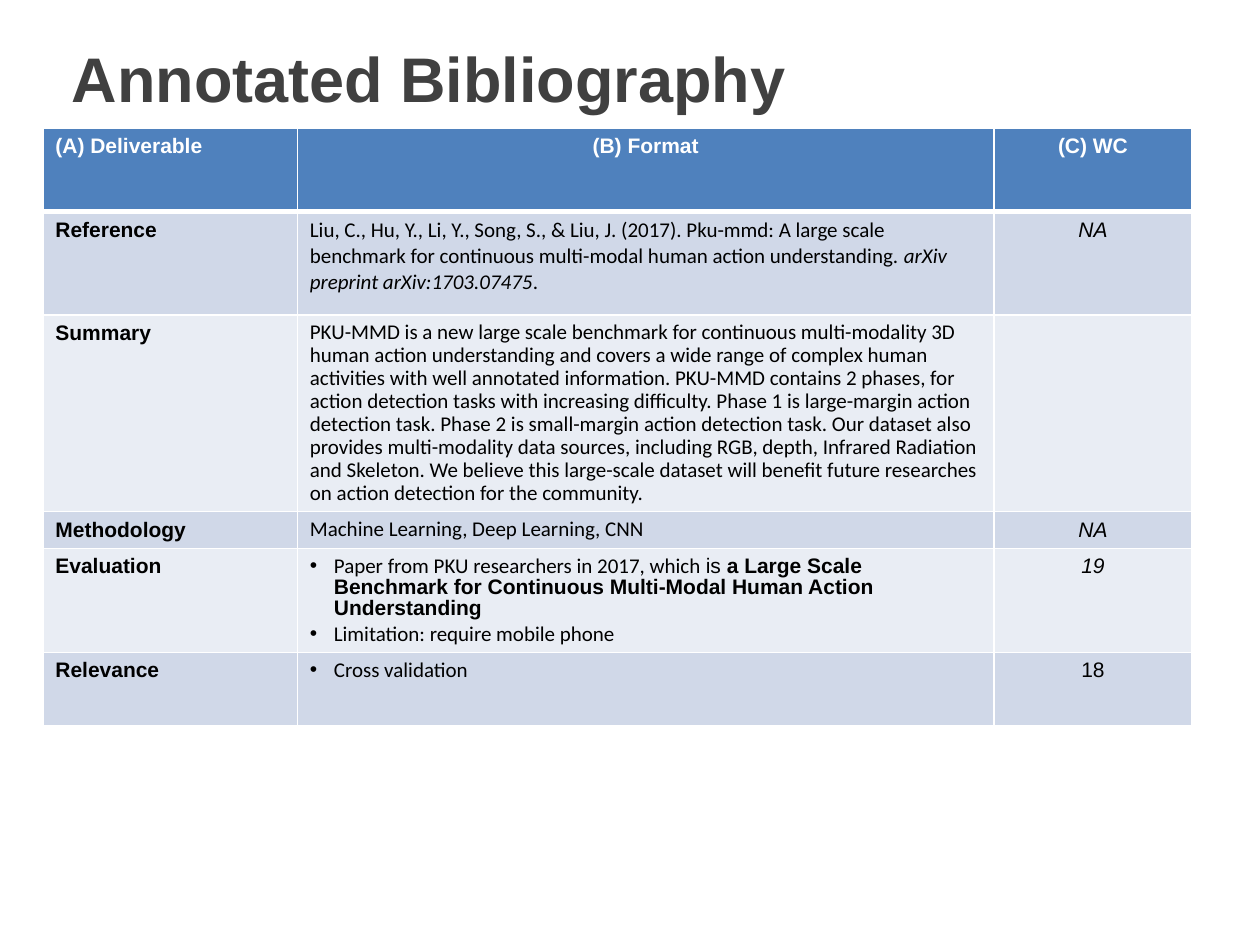
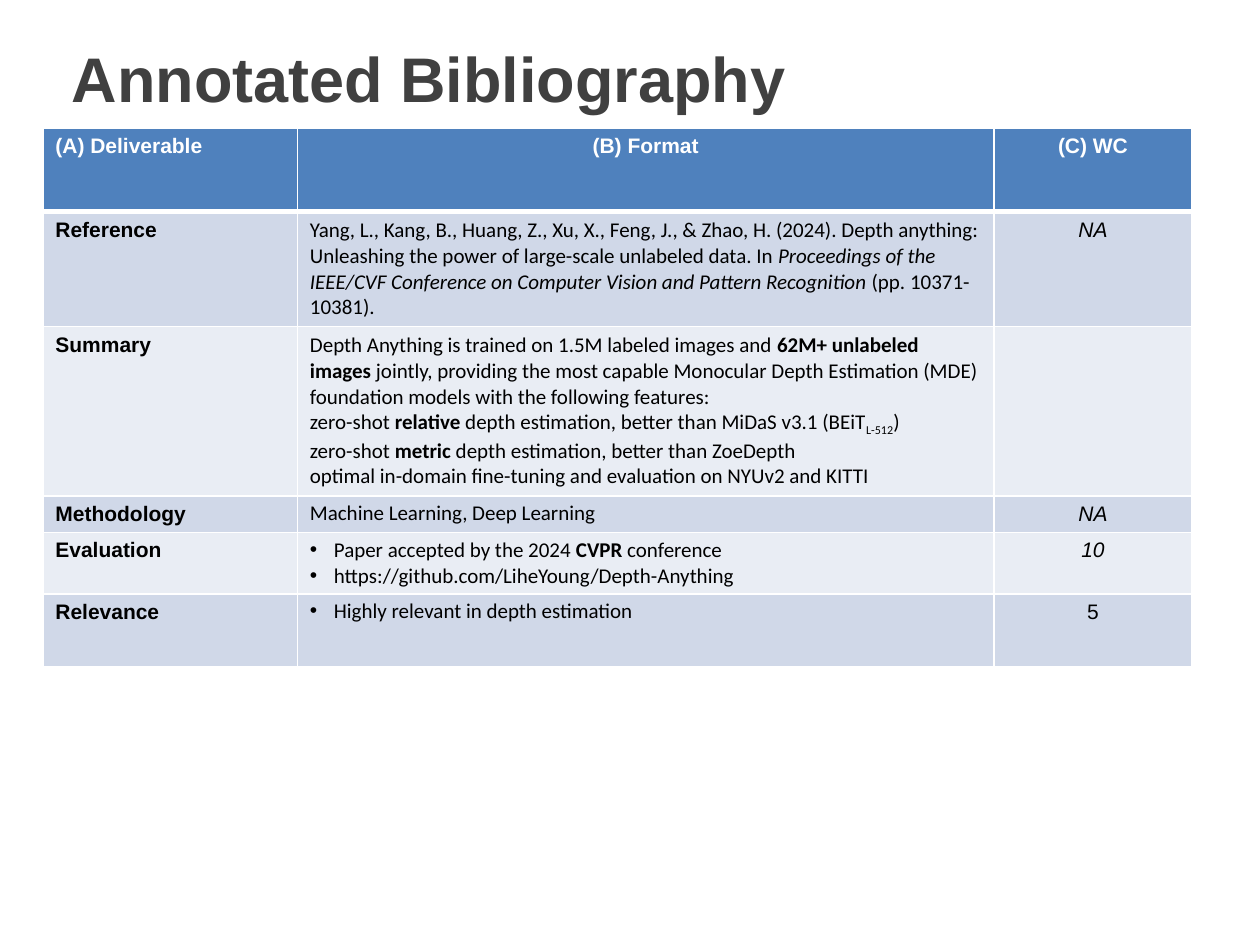
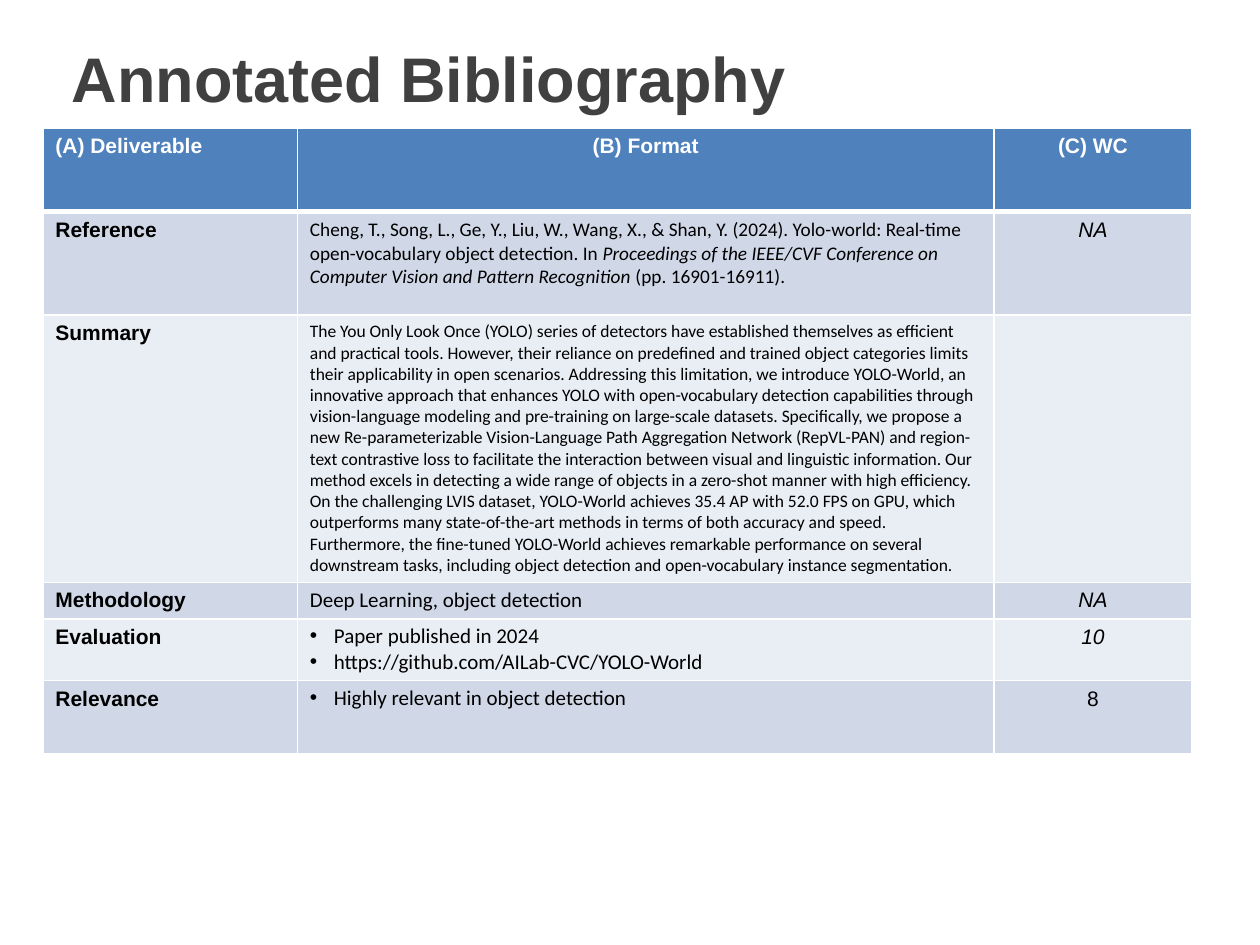
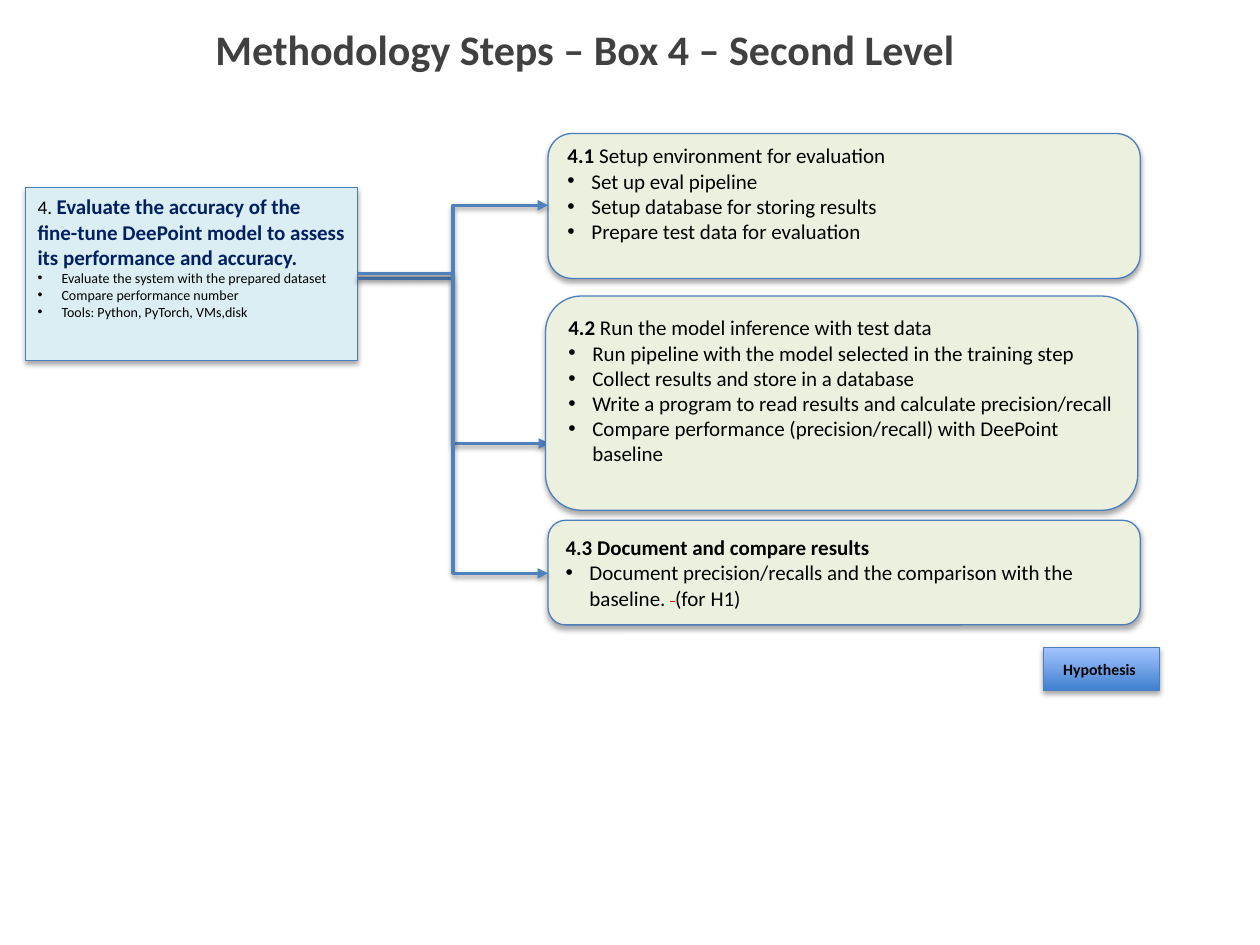
from lxml import etree
from pptx import Presentation
from pptx.dml.color import RGBColor
from pptx.enum.shapes import MSO_CONNECTOR, MSO_SHAPE
from pptx.enum.text import MSO_ANCHOR, MSO_AUTO_SIZE, PP_ALIGN
from pptx.oxml.ns import qn
from pptx.util import Inches, Pt

ELBOW = MSO_CONNECTOR.ELBOW
RECTANGLE, ROUNDED = MSO_SHAPE.RECTANGLE, MSO_SHAPE.ROUNDED_RECTANGLE
TOP, MIDDLE = MSO_ANCHOR.TOP, MSO_ANCHOR.MIDDLE
LEFT, CENTER = PP_ALIGN.LEFT, PP_ALIGN.CENTER
NO_AUTOFIT = MSO_AUTO_SIZE.NONE

# Shared colours and fonts
BLACK = RGBColor(0x00, 0x00, 0x00)
WHITE = RGBColor(0xFF, 0xFF, 0xFF)
GREY = RGBColor(0x40, 0x40, 0x40)
RED = RGBColor(0xFF, 0x00, 0x00)
NAVY = RGBColor(0x00, 0x20, 0x60)
BLUE = RGBColor(0x4F, 0x81, 0xBD)
OUTLINE = RGBColor(0x4B, 0x7E, 0xBC)
BAND_DARK = RGBColor(0xD0, 0xD8, 0xE8)
BAND_LIGHT = RGBColor(0xE9, 0xED, 0xF4)
PALE_BLUE = RGBColor(0xDB, 0xEE, 0xF4)
PALE_GREEN = RGBColor(0xEB, 0xF1, 0xDE)
DEEP_BLUE = RGBColor(0x3F, 0x80, 0xCE)
SKY_BLUE = RGBColor(0xA4, 0xC4, 0xFF)
HEADING_FONT, BODY_FONT = "Arial", "Calibri"

# Table layout
HEADERS = ["(A) Deliverable", "(B) Format", "(C) WC"]
LABELS = ["Reference", "Summary", "Methodology", "Evaluation", "Relevance"]
COLUMN_WIDTHS = [2.02, 5.53, 1.57]
ROW_HEIGHTS = [0.66, 0.82, 1.02, 0.29, 0.41, 0.58]

# Paragraph formats
TIGHT = {"line_spacing": 0.9, "space_after": 1.8}
BULLETS = {**TIGHT, "bullet": True}


def span(text, **changes):
    """A stretch of text whose format differs from its paragraph."""
    return text, changes


PROCEEDINGS = span("Proceedings of the IEEE/CVF Conference on Computer Vision "
                   "and Pattern Recognition", italic=True)

# One entry per paper: (paragraphs, format) for each label, then the word counts
PAPERS = [
    ([
        ([["Liu, C., Hu, Y., Li, Y., Song, S., & Liu, J. (2017). Pku-mmd: A large scale "
           "benchmark for continuous multi-modal human action understanding. ",
           span("arXiv preprint arXiv:1703.07475", italic=True), "."]], {}),
        (["PKU-MMD is a new large scale benchmark for continuous multi-modality 3D human "
          "action understanding and covers a wide range of complex human activities with "
          "well annotated information. PKU-MMD contains 2 phases, for action detection "
          "tasks with increasing difficulty. Phase 1 is large-margin action detection "
          "task. Phase 2 is small-margin action detection task. Our dataset also provides "
          "multi-modality data sources, including RGB, depth, Infrared Radiation and "
          "Skeleton. We believe this large-scale dataset will benefit future researches "
          "on action detection for the community."], TIGHT),
        (["Machine Learning, Deep Learning, CNN"], TIGHT),
        ([["Paper from PKU researchers in 2017, which ", span("is ", font=HEADING_FONT),
           span("a Large Scale Benchmark for Continuous Multi-Modal Human Action "
                "Understanding", font=HEADING_FONT, bold=True)],
          "Limitation: require mobile phone"], BULLETS),
        (["Cross validation"], BULLETS),
    ], ["NA", "", "NA", "19", "18"]),
    ([
        ([["Yang, L., Kang, B., Huang, Z., Xu, X., Feng, J., & Zhao, H. (2024). Depth "
           "anything: Unleashing the power of large-scale unlabeled data. In ",
           PROCEEDINGS, " (pp. 10371-10381)."]], {}),
        ([["Depth Anything is trained on 1.5M labeled images and ",
           span("62M+ unlabeled images", bold=True),
           " jointly, providing the most capable Monocular Depth Estimation (MDE) "
           "foundation models with the following features:"],
          ["zero-shot ", span("relative", bold=True),
           " depth estimation, better than MiDaS v3.1 (BEiT",
           span("L-512", baseline=-25000), ")"],
          ["zero-shot ", span("metric", bold=True),
           " depth estimation, better than ZoeDepth"],
          "optimal in-domain fine-tuning and evaluation on NYUv2 and KITTI"], {}),
        (["Machine Learning, Deep Learning"], TIGHT),
        ([["Paper accepted by the 2024 ", span("CVPR", bold=True), " conference"],
          "https://github.com/LiheYoung/Depth-Anything"], BULLETS),
        (["Highly relevant in depth estimation"], BULLETS),
    ], ["NA", "", "NA", "10", "5"]),
    ([
        ([["Cheng, T., Song, L., Ge, Y., Liu, W., Wang, X., & Shan, Y. (2024). Yolo-world: "
           "Real-time open-vocabulary object detection. In ", PROCEEDINGS,
           " (pp. 16901-16911)."]], {"size": 11}),
        ([["The You Only Look Once (YOLO) series of detectors have established themselves "
           "as efficient and practical tools. However, their reliance on predefined and "
           "trained object categories limits their applicability in open scenarios. "
           "Addressing this limitation, we introduce YOLO-World, an innovative approach "
           "that enhances YOLO with open-vocabulary detection capabilities through "
           "vision-language modeling and pre-training on large-scale datasets. ",
           "Specifically, we propose a new Re-parameterizable Vision-Language Path "
           "Aggregation Network (RepVL-PAN) and region-text contrastive loss to facilitate "
           "the interaction between visual and linguistic information. Our method excels "
           "in detecting a wide range of objects in a zero-shot manner with high "
           "efficiency. ",
           "On the challenging LVIS dataset, YOLO-World achieves 35.4 AP with "
           "52.0 FPS on GPU, which outperforms many state-of-the-art methods in terms of "
           "both accuracy and speed. Furthermore, the fine-tuned YOLO-World achieves "
           "remarkable performance on several downstream tasks, including object detection "
           "and open-vocabulary instance segmentation."]], {"size": 10}),
        (["Deep Learning, object detection"], TIGHT),
        (["Paper published in 2024", "https://github.com/AILab-CVC/YOLO-World"], BULLETS),
        (["Highly relevant in object detection"], BULLETS),
    ], ["NA", "", "NA", "10", "8"]),
]


def add_bullet(paragraph):
    properties = paragraph._p.get_or_add_pPr()
    properties.set("marL", str(Inches(0.19)))
    properties.set("indent", str(-Inches(0.19)))
    etree.SubElement(properties, qn("a:buFont"), typeface="Arial")
    etree.SubElement(properties, qn("a:buChar"), char="•")


def format_run(run, font=BODY_FONT, size=12, color=BLACK, bold=False, italic=False,
               baseline=None, strike=False):
    run.font.name, run.font.size = font, Pt(size)
    run.font.color.rgb = color
    run.font.bold, run.font.italic = bold, italic
    properties = run._r.get_or_add_rPr()
    if baseline:
        properties.set("baseline", str(baseline))
    if strike:
        properties.set("strike", "sngStrike")


def write(frame, paragraphs, align=LEFT, bullet=False, line_spacing=None,
          space_after=None, **run_format):
    """Add paragraphs, each a string or a list of strings and spans."""
    for content in paragraphs:
        first = frame.paragraphs[0]
        paragraph = frame.add_paragraph() if first.runs else first
        if bullet:
            add_bullet(paragraph)
        paragraph.alignment = align
        if line_spacing:
            paragraph.line_spacing = line_spacing
        if space_after:
            paragraph.space_after = Pt(space_after)
        for piece in [content] if isinstance(content, str) else content:
            text, changes = span(piece) if isinstance(piece, str) else piece
            run = paragraph.add_run()
            run.text = text
            format_run(run, **{**run_format, **changes})


def add_titled_slide(deck, title, left, top, anchor, **run_format):
    slide = deck.slides.add_slide(deck.slide_layouts[5])
    box = slide.shapes.title
    box.left, box.top = Inches(left), Inches(top)
    box.width, box.height = Inches(8.48), Inches(0.81)
    frame = box.text_frame
    frame.auto_size, frame.vertical_anchor = NO_AUTOFIT, anchor
    write(frame, [title], color=GREY, bold=True, **run_format)
    return slide


# Tables
def style_cell(cell, fill, top=1, bottom=1):
    properties = cell._tc.get_or_add_tcPr()
    for side, width in [("L", 1), ("R", 1), ("T", top), ("B", bottom)]:
        border = etree.SubElement(properties, qn(f"a:ln{side}"), w=str(Pt(width)))
        paint = etree.SubElement(border, qn("a:solidFill"))
        etree.SubElement(paint, qn("a:srgbClr"), val=str(WHITE))
    cell.fill.solid()
    cell.fill.fore_color.rgb = fill


def add_paper_table(slide, entries, word_counts):
    table = slide.shapes.add_table(
        len(ROW_HEIGHTS), len(COLUMN_WIDTHS), Inches(0.34), Inches(1.02),
        Inches(sum(COLUMN_WIDTHS)), Inches(sum(ROW_HEIGHTS))).table
    for column, width in zip(table.columns, COLUMN_WIDTHS):
        column.width = Inches(width)
    for row, height in zip(table.rows, ROW_HEIGHTS):
        row.height = Inches(height)

    for index, header in enumerate(HEADERS):
        cell = table.cell(0, index)
        style_cell(cell, BLUE, bottom=3)
        write(cell.text_frame, [header], align=CENTER if index else LEFT,
              font=HEADING_FONT, color=WHITE, bold=True)

    rows = zip(LABELS, entries, word_counts)
    for index, (label, (paragraphs, style), count) in enumerate(rows, start=1):
        cells = table.rows[index].cells
        for cell in cells:
            style_cell(cell, BAND_DARK if index % 2 else BAND_LIGHT,
                       top=3 if index == 1 else 1)
        write(cells[0].text_frame, [label], font=HEADING_FONT, bold=True)
        write(cells[1].text_frame, paragraphs, **style)
        if count:
            write(cells[2].text_frame, [count], align=CENTER, font=HEADING_FONT,
                  italic=label != "Relevance")


# Diagram
def add_shadow(properties, opacity, distance):
    effects = etree.SubElement(properties, qn("a:effectLst"))
    shadow = etree.SubElement(effects, qn("a:outerShdw"), blurRad=str(Pt(3.1)),
                              dist=str(Pt(distance)), dir="5400000", rotWithShape="0")
    color = etree.SubElement(shadow, qn("a:srgbClr"), val=str(BLACK))
    etree.SubElement(color, qn("a:alpha"), val=str(opacity * 1000))


def add_box(slide, kind, left, top, width, height, fill, anchor=MIDDLE, bottom_inset=0.05):
    box = slide.shapes.add_shape(kind, Inches(left), Inches(top),
                                 Inches(width), Inches(height))
    if isinstance(fill, RGBColor):
        box.fill.solid()
        box.fill.fore_color.rgb = fill
    else:
        box.fill.gradient()
        box.fill.gradient_angle = 90
        for stop, color in zip(box.fill.gradient_stops, fill):
            stop.color.rgb = color
    box.line.color.rgb, box.line.width = OUTLINE, Pt(0.75)
    add_shadow(box._element.spPr, opacity=35, distance=1.8)
    frame = box.text_frame
    frame.word_wrap, frame.vertical_anchor = True, anchor
    frame.margin_bottom = Inches(bottom_inset)
    return frame


def add_step(slide, left, top, height, heading, tasks, bottom_inset=0.05):
    frame = add_box(slide, ROUNDED, left, top, 4.7, height, PALE_GREEN,
                    bottom_inset=bottom_inset)
    write(frame, [heading])
    write(frame, tasks, bullet=True)


def add_arrow(slide, start, end):
    arrow = slide.shapes.add_connector(ELBOW, *map(Inches, start + end))
    arrow.line.color.rgb, arrow.line.width = BLUE, Pt(2)
    properties = arrow._element.spPr
    etree.SubElement(properties.find(qn("a:ln")), qn("a:tailEnd"), type="triangle")
    add_shadow(properties, opacity=38, distance=1.6)


def add_methodology(deck):
    slide = add_titled_slide(deck, "Methodology Steps – Box 4 – Second Level",
                             1.61, 0.14, TOP, size=24)
    add_step(slide, 4.35, 1.06, 1.15,
             [span("4.1 ", bold=True), "Setup environment for evaluation"],
             ["Set up eval pipeline", "Setup database for storing results",
              "Prepare test data for evaluation"], bottom_inset=0.25)
    add_arrow(slide, (2.84, 2.17), (4.35, 1.63))

    goal = add_box(slide, RECTANGLE, 0.2, 1.49, 2.64, 1.37, PALE_BLUE, anchor=TOP)
    write(goal, [[span("4. ", size=11),
                  span("Evaluate the accuracy of the fine-tune DeePoint model to assess "
                       "its performance and accuracy.", color=NAVY, bold=True)]])
    write(goal, ["Evaluate the system with the prepared dataset",
                 "Compare performance number", "Tools: Python, PyTorch, VMs,disk"],
          bullet=True, size=8)

    add_step(slide, 4.35, 4.13, 0.83, [span("4.3 Document and compare results", bold=True)],
             [["Document precision/recalls and the comparison with the baseline. ",
               span(" ", color=RED, strike=True), "(for H1)"]])
    add_arrow(slide, (2.83, 2.21), (4.36, 3.52))
    add_step(slide, 4.33, 2.35, 1.7,
             [span("4.2 ", bold=True), "Run the model inference with test data"],
             ["Run pipeline with the model selected in the training step",
              "Collect results and store in a database",
              "Write a program to read results and calculate precision/recall",
              "Compare performance (precision/recall) with DeePoint baseline"],
             bottom_inset=0.25)
    add_arrow(slide, (2.84, 2.17), (4.35, 4.55))

    hypothesis = add_box(slide, RECTANGLE, 8.28, 5.14, 0.92, 0.34, (DEEP_BLUE, SKY_BLUE))
    write(hypothesis, ["Hypothesis "], align=CENTER, size=9, bold=True)


def main():
    deck = Presentation()
    deck.slide_width, deck.slide_height = Inches(10), Inches(7.5)
    for entries, word_counts in PAPERS:
        slide = add_titled_slide(deck, "Annotated Bibliography", 0.47, 0.21, MIDDLE,
                                 font=HEADING_FONT, size=36)
        add_paper_table(slide, entries, word_counts)
    add_methodology(deck)
    deck.save("out.pptx")


if __name__ == "__main__":
    main()
